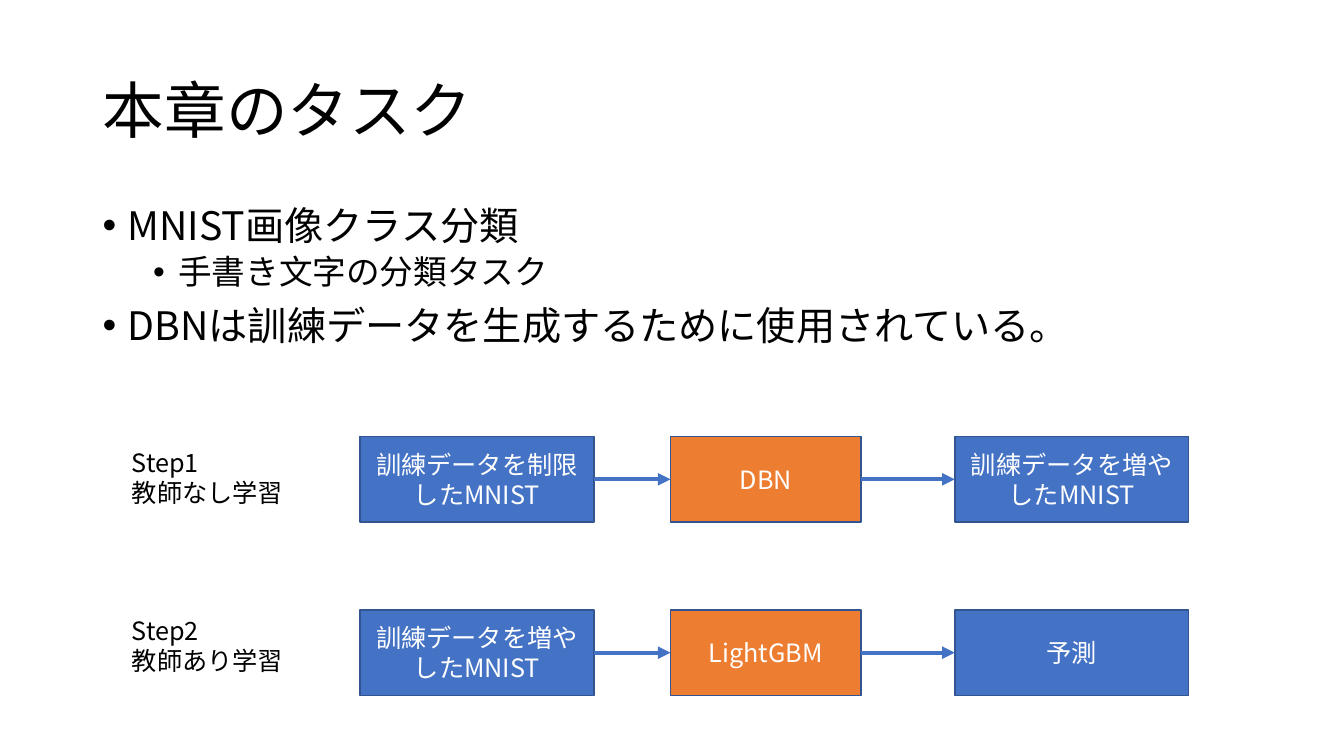
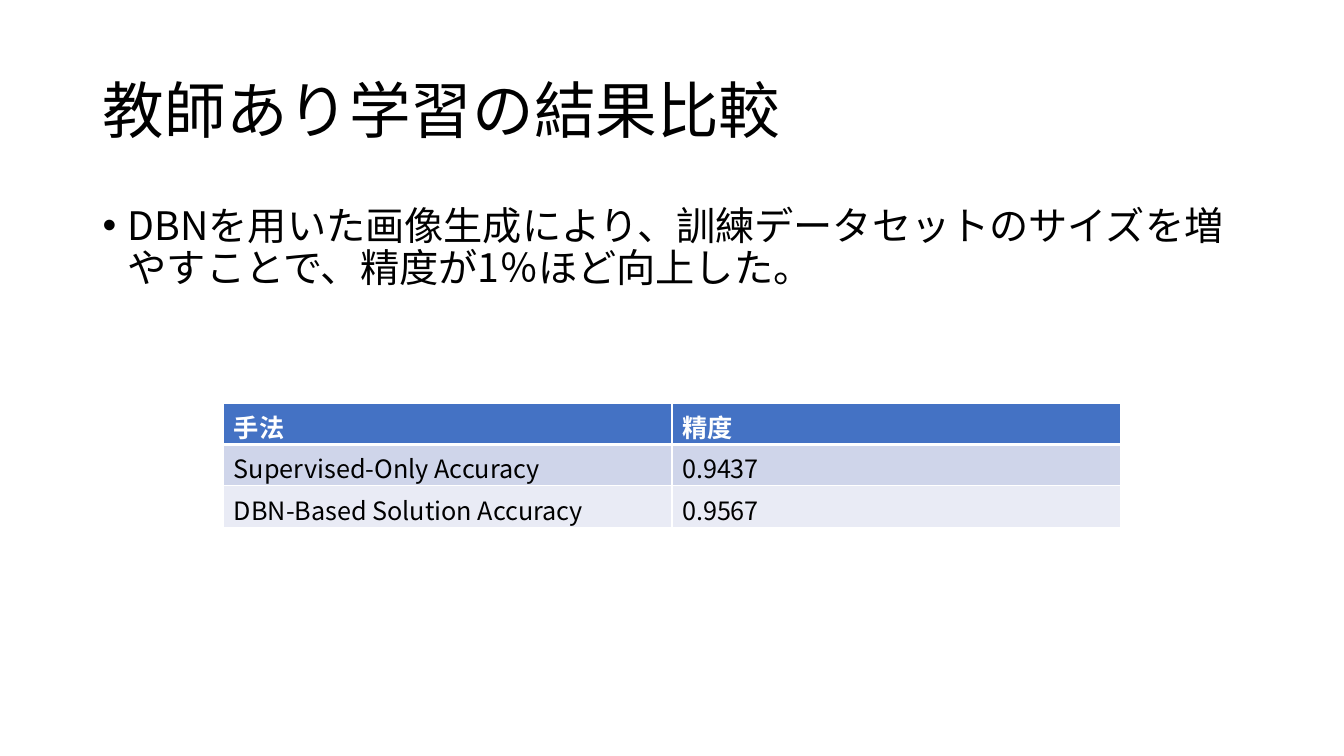
import dataclasses

import lxml.etree
import pptx
import pptx.dml.color
import pptx.enum.shapes
import pptx.enum.text
import pptx.oxml.ns
import pptx.util

Inches = pptx.util.Inches
Pt = pptx.util.Pt
qn = pptx.oxml.ns.qn
ANCHOR = pptx.enum.text.MSO_ANCHOR
ALIGN = pptx.enum.text.PP_ALIGN
FIT = pptx.enum.text.MSO_AUTO_SIZE


@dataclasses.dataclass(frozen=True)
class Theme:
    font: str = "Noto Sans CJK JP"
    ink: str = "000000"
    paper: str = "FFFFFF"
    blue: str = "4472C4"
    orange: str = "ED7D31"
    edge: str = "325491"
    bands: tuple = ("CFD5EA", "E9EBF5")
    title: int = 44
    levels: tuple = (28, 24)
    small: int = 18
    spacing: float = 0.9


THEME = Theme()


def rgb(code):
    return pptx.dml.color.RGBColor.from_string(code)


def child(parent, tag, **attrs):
    return lxml.etree.SubElement(parent, qn(tag), attrs)


def write(para, text, size=THEME.small, color=THEME.ink, bold=False,
          align=ALIGN.LEFT, spacing=None, before=0):
    para.alignment = align
    para.space_before = Pt(before)
    if spacing:
        para.line_spacing = spacing
    run = para.add_run()
    run.text = text
    font = run.font
    font.size = Pt(size)
    font.bold = bold
    font.color.rgb = rgb(color)
    font.name = THEME.font
    child(font._element, "a:ea", typeface=THEME.font)


def paras(frame, count):
    return [frame.paragraphs[0]] + [frame.add_paragraph() for _ in range(count - 1)]


def bullet(para, level):
    para.level = level
    props = para._p.get_or_add_pPr()
    props.set("marL", str(Inches(0.25 + 0.5 * level)))
    props.set("indent", str(Inches(-0.25)))
    child(props, "a:buFont", typeface="Arial")
    child(props, "a:buChar", char="•")


def start(deck, title, points, height):
    slide = deck.slides.add_slide(deck.slide_layouts[5])
    head = slide.shapes.title
    head.left, head.top = Inches(0.92), Inches(0.4)
    head.width, head.height = Inches(11.5), Inches(1.45)
    frame = head.text_frame
    frame.auto_size = FIT.NONE
    frame.vertical_anchor = ANCHOR.MIDDLE
    write(frame.paragraphs[0], title, size=THEME.title, spacing=THEME.spacing)
    box = slide.shapes.add_textbox(Inches(0.92), Inches(2), Inches(11.5), Inches(height))
    frame = box.text_frame
    frame.word_wrap = True
    for index, (para, (level, text)) in enumerate(zip(paras(frame, len(points)), points)):
        bullet(para, level)
        write(para, text, size=THEME.levels[level], spacing=THEME.spacing,
              before=(10, 5)[level] if index else 0)
    return slide


def label(slide, left, top, lines):
    box = slide.shapes.add_textbox(Inches(left), Inches(top), Inches(1.72), Inches(0.71))
    frame = box.text_frame
    frame.word_wrap = False
    frame.auto_size = FIT.SHAPE_TO_FIT_TEXT
    for para, text in zip(paras(frame, len(lines)), lines):
        write(para, text)


def node(slide, left, top, width, height, text, color):
    shape = slide.shapes.add_shape(
        pptx.enum.shapes.MSO_SHAPE.RECTANGLE,
        Inches(left), Inches(top), Inches(width), Inches(height))
    shape.shadow.inherit = False
    shape.fill.solid()
    shape.fill.fore_color.rgb = rgb(color)
    shape.line.color.rgb = rgb(THEME.edge)
    shape.line.width = Pt(1)
    frame = shape.text_frame
    frame.word_wrap = True
    frame.vertical_anchor = ANCHOR.MIDDLE
    write(frame.paragraphs[0], text, color=THEME.paper, align=ALIGN.CENTER)
    return shape


def arrow(slide, source, target):
    line = slide.shapes.add_connector(pptx.enum.shapes.MSO_CONNECTOR.STRAIGHT, 0, 0, 0, 0)
    line.begin_connect(source, 3)
    line.end_connect(target, 1)
    line.line.color.rgb = rgb(THEME.blue)
    line.line.width = Pt(3)
    child(line.line._get_or_add_ln(), "a:tailEnd", type="triangle")
    child(line._element.spPr, "a:effectLst")


def flow(slide, left, top, height, names):
    columns = ((0, 2.32, THEME.blue), (3.08, 1.89, THEME.orange), (5.9, 2.32, THEME.blue))
    nodes = [node(slide, left + shift, top, width, height, name, color)
             for (shift, width, color), name in zip(columns, names)]
    for source, target in zip(nodes, nodes[1:]):
        arrow(slide, source, target)


def border(cell, head):
    props = cell._tc.get_or_add_tcPr()
    for side in "LRTB":
        width = 3 if head and side == "B" else 1
        line = child(props, "a:ln" + side, w=str(Pt(width)))
        child(child(line, "a:solidFill"), "a:srgbClr", val=THEME.paper)


def grid(slide, left, top, width, row, data):
    cols = len(data[0])
    table = slide.shapes.add_table(
        len(data), cols, Inches(left), Inches(top),
        Inches(width), Inches(row * len(data))).table
    for col in table.columns:
        col.width = Inches(width / cols)
    for r, texts in enumerate(data):
        table.rows[r].height = Inches(row)
        head = r == 0
        for c, text in enumerate(texts):
            cell = table.cell(r, c)
            border(cell, head)
            cell.fill.solid()
            cell.fill.fore_color.rgb = rgb(THEME.blue if head else THEME.bands[(r - 1) % 2])
            write(cell.text_frame.paragraphs[0], text, bold=head,
                  color=THEME.paper if head else THEME.ink)


def task(deck):
    slide = start(deck, "本章のタスク", [
        (0, "MNIST画像クラス分類"),
        (1, "手書き文字の分類タスク"),
        (0, "DBNは訓練データを生成するために使用されている。"),
    ], 1.92)
    steps = [
        (("Step1", "教師なし学習"),
         ("訓練データを制限したMNIST", "DBN", "訓練データを増やしたMNIST")),
        (("Step2", "教師あり学習"),
         ("訓練データを増やしたMNIST", "LightGBM", "予測")),
    ]
    for index, (lines, names) in enumerate(steps):
        label(slide, 1.21, 4.39 + 1.66 * index, lines)
        flow(slide, 3.57, 4.33 + 1.72 * index, 0.85, names)


def result(deck):
    slide = start(deck, "教師あり学習の結果比較", [
        (0, "DBNを用いた画像生成により、訓練データセットのサイズを増やすことで、精度が1％ほど向上した。"),
    ], 1.16)
    grid(slide, 2.22, 4, 8.89, 0.41, [
        ("手法", "精度"),
        ("Supervised-Only Accuracy", "0.9437"),
        ("DBN-Based Solution Accuracy", "0.9567"),
    ])


def main():
    deck = pptx.Presentation()
    deck.slide_width, deck.slide_height = Inches(13.33), Inches(7.5)
    task(deck)
    result(deck)
    deck.save("out.pptx")


if __name__ == "__main__":
    main()
